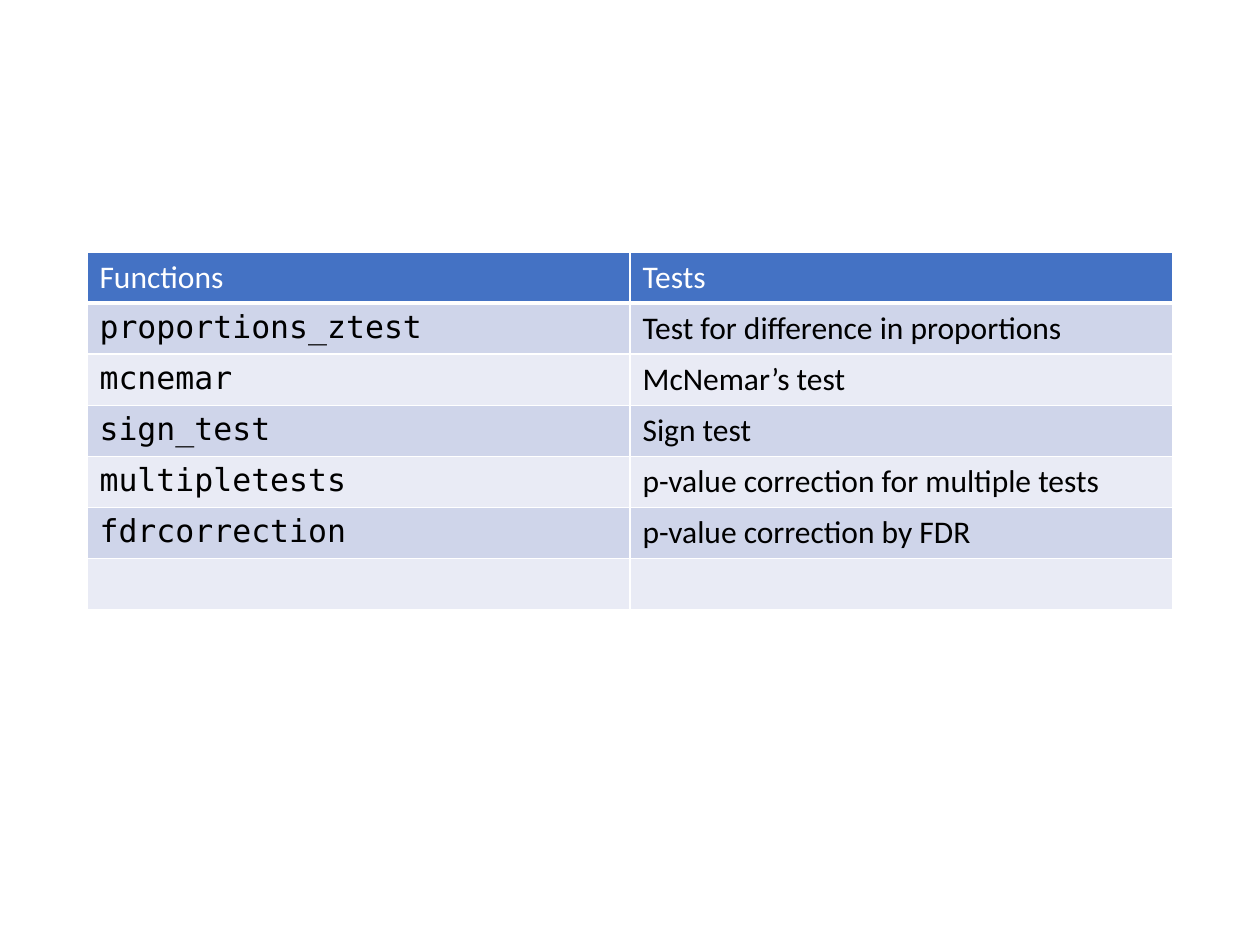
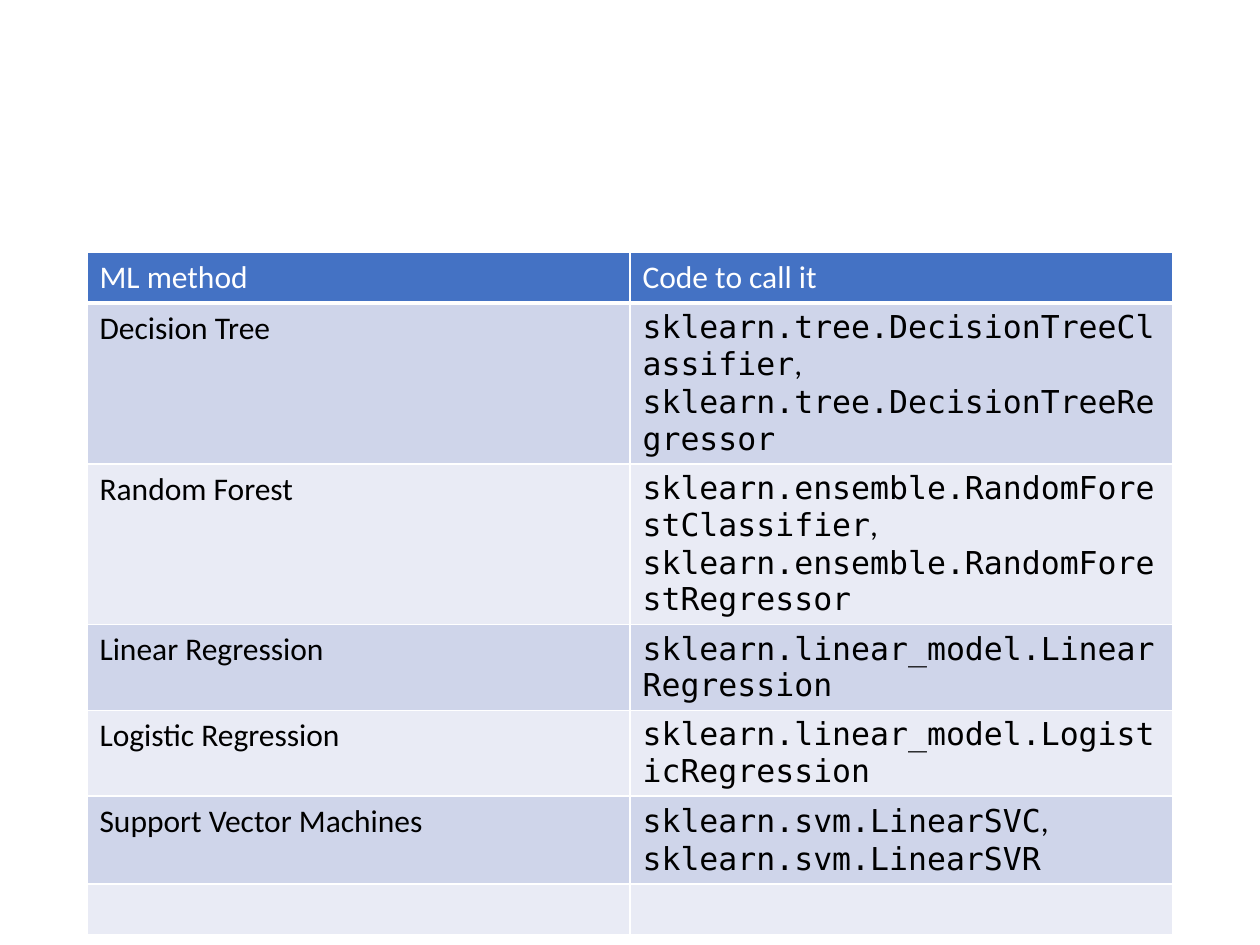
from lxml.etree import SubElement
from pptx import Presentation
from pptx.dml.color import RGBColor
from pptx.oxml.ns import qn
from pptx.util import Inches, Pt

# A string is plain text; a list holds code names, parted by commas.
STATISTICS = [
    ("Functions", "Tests"),
    (["proportions_ztest"], "Test for difference in proportions"),
    (["mcnemar"], "McNemar’s test"),
    (["sign_test"], "Sign test"),
    (["multipletests"], "p-value correction for multiple tests"),
    (["fdrcorrection"], "p-value correction by FDR"),
    ("", ""),
]
ML_METHODS = [
    ("ML method", "Code to call it"),
    ("Decision Tree", ["sklearn.tree.DecisionTreeClassifier",
                       "sklearn.tree.DecisionTreeRegressor"]),
    ("Random Forest", ["sklearn.ensemble.RandomForestClassifier",
                       "sklearn.ensemble.RandomForestRegressor"]),
    ("Linear Regression", ["sklearn.linear_model.LinearRegression"]),
    ("Logistic Regression", ["sklearn.linear_model.LogisticRegression"]),
    ("Support Vector Machines", ["sklearn.svm.LinearSVC",
                                 "sklearn.svm.LinearSVR"]),
    ("", ""),
]

TEXT_FONT, CODE_FONT = "Calibri", "DejaVu Sans Mono"
WHITE, BLACK, HEADER = "FFFFFF", "000000", "4472C4"
BANDS = ("E9EBF5", "CFD5EA")
LEFT, TOP, WIDTH, ROW_HEIGHT = 0.69, 2, 8.62, 0.4
MARGINS = {"margin_left": 0.1, "margin_right": 0.1,
           "margin_top": 0.05, "margin_bottom": 0.05}


def rgb(value):
    return RGBColor.from_string(value)


def add_borders(cell, bottom_width):
    cell_properties = cell._tc.get_or_add_tcPr()
    for side, width in (("L", 1), ("R", 1), ("T", 1), ("B", bottom_width)):
        border = SubElement(cell_properties, qn(f"a:ln{side}"), w=str(Pt(width)))
        fill = SubElement(border, qn("a:solidFill"))
        SubElement(fill, qn("a:srgbClr"), val=WHITE)


def split_runs(content):
    """Return (text, font name) pairs for the content of a cell."""
    if isinstance(content, str):
        return [(content, TEXT_FONT)] if content else []
    runs = []
    for code in content:
        if runs:
            runs.append((", ", TEXT_FONT))
        runs.append((code, CODE_FONT))
    return runs


def fill_cell(cell, content, is_header, background):
    add_borders(cell, 3 if is_header else 1)
    cell.fill.solid()
    cell.fill.fore_color.rgb = rgb(background)
    for name, length in MARGINS.items():
        setattr(cell, name, Inches(length))
    paragraph = cell.text_frame.paragraphs[0]
    paragraph.font.size = Pt(18)
    for text, font_name in split_runs(content):
        run = paragraph.add_run()
        run.text = text
        font_format = {"name": font_name, "size": Pt(18), "bold": False}
        for name, value in font_format.items():
            setattr(run.font, name, value)
        run.font.color.rgb = rgb(WHITE if is_header else BLACK)


def add_table_slide(deck, rows):
    slide = deck.slides.add_slide(deck.slide_layouts[6])
    column_count = len(rows[0])
    table = slide.shapes.add_table(
        len(rows), column_count, Inches(LEFT), Inches(TOP),
        Inches(WIDTH), Inches(ROW_HEIGHT * len(rows))).table
    for column in table.columns:
        column.width = Inches(WIDTH / column_count)
    for row_index, row in enumerate(rows):
        is_header = row_index == 0
        background = HEADER if is_header else BANDS[row_index % 2]
        for column_index, content in enumerate(row):
            fill_cell(table.cell(row_index, column_index), content,
                      is_header, background)


def main():
    deck = Presentation()
    deck.slide_width, deck.slide_height = Inches(10), Inches(7.5)
    for rows in (STATISTICS, ML_METHODS):
        add_table_slide(deck, rows)
    deck.save("out.pptx")


if __name__ == "__main__":
    main()
